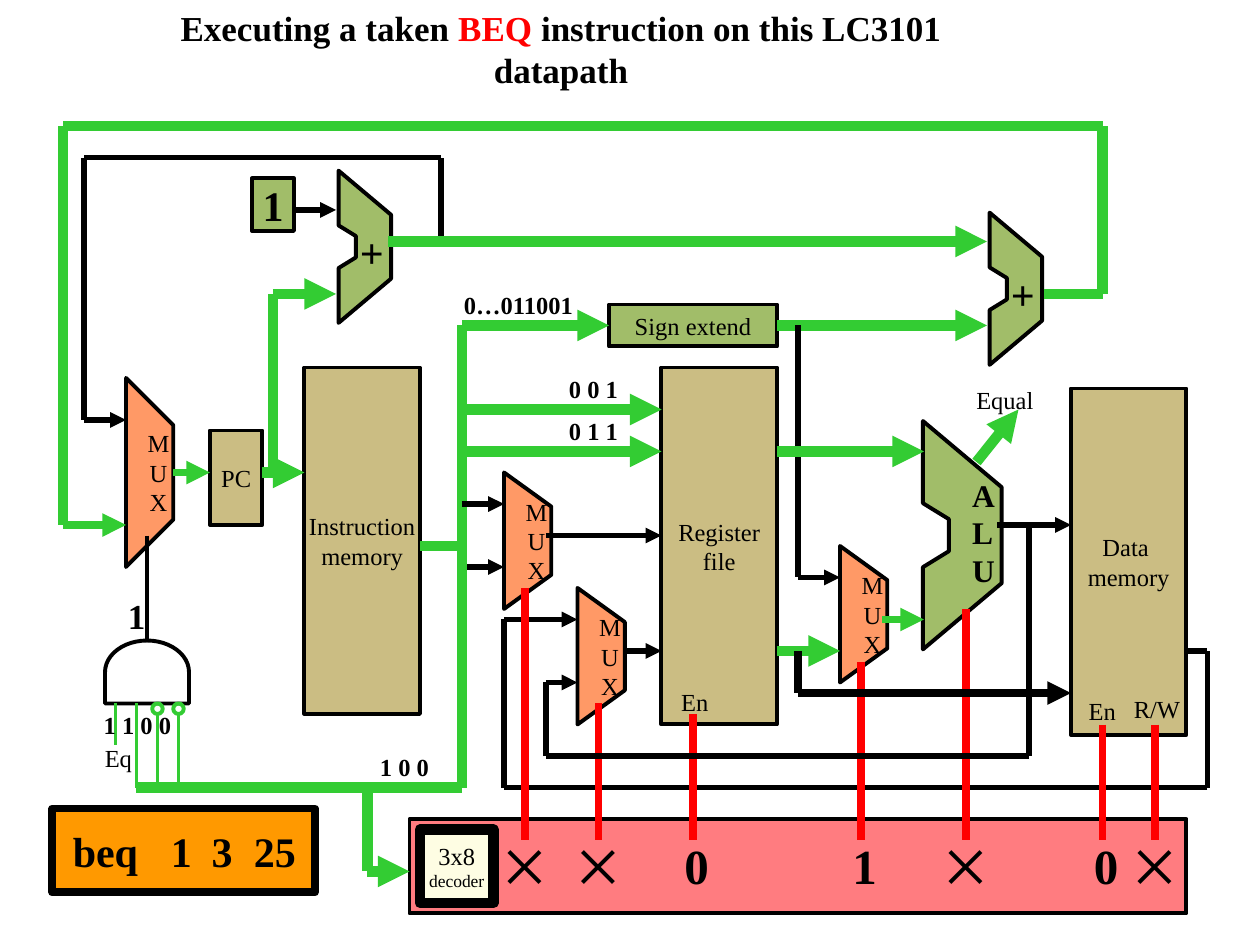
from lxml import etree
from pptx import Presentation
from pptx.dml.color import RGBColor
from pptx.enum.shapes import MSO_CONNECTOR, MSO_SHAPE
from pptx.enum.text import MSO_ANCHOR, MSO_AUTO_SIZE, PP_ALIGN
from pptx.oxml.ns import qn
from pptx.util import Cm, Pt

RECT, OVAL, GATE = MSO_SHAPE.RECTANGLE, MSO_SHAPE.OVAL, MSO_SHAPE.FLOWCHART_DELAY
LEFT, MID = PP_ALIGN.LEFT, PP_ALIGN.CENTER
TOP, HALF = MSO_ANCHOR.TOP, MSO_ANCHOR.MIDDLE
FONT = "Times New Roman"
UNIT = Cm(2.54) / 12
COLORS = {
    "black": "000000", "white": "FFFFFF", "red": "FF0000", "green": "33CC33",
    "tan": "CBBD83", "olive": "A1BD69", "peach": "FF9966", "pink": "FF7C80",
    "cream": "FEFDE3", "orange": "FF9900",
}
INK = {name: RGBColor.from_string(code) for name, code in COLORS.items()}


def write(frame, text, size=14, bold=False, color="black", align=LEFT, anchor=TOP, wrap=False):
    frame.word_wrap = wrap
    frame.vertical_anchor = anchor
    for num, line in enumerate(text.split("\n")):
        para = frame.add_paragraph() if num else frame.paragraphs[-1]
        para.alignment = align
        if line:
            run = para.add_run()
            run.text = line
            run.font.name = FONT
            run.font.size = Pt(size)
            run.font.bold = bold
            run.font.color.rgb = INK[color]


def paint(shape, fill, edge="black", width=2.25):
    shape.shadow.inherit = False
    if fill:
        shape.fill.solid()
        shape.fill.fore_color.rgb = INK[fill]
    else:
        shape.fill.background()
    shape.line.color.rgb = INK[edge]
    shape.line.width = Pt(width)


deck = Presentation()
deck.slide_width, deck.slide_height = Cm(25.4), Cm(19.05)
slide = deck.slides.add_slide(deck.slide_layouts[5])
slide.background.fill.solid()
slide.background.fill.fore_color.rgb = INK["white"]
shapes = slide.shapes

title = shapes.title
title.left, title.top, title.width, title.height = Cm(3.4), Cm(0), Cm(18.69), Cm(1.09)
frame = title.text_frame
frame.auto_size = MSO_AUTO_SIZE.NONE
frame.margin_left, frame.margin_right = Cm(0), Cm(2.87)
for text, color in [("Executing a taken ", "black"), ("BEQ ", "red"),
                    ("instruction on this LC3101 datapath", "black")]:
    write(frame, text, size=20, bold=True, color=color, align=MID, wrap=True)

blocks = [
    ((20, 41, 5, 9), "tan", 2.25, "PC", 14),
    ((29, 35, 11, 33), "tan", 2.25, "Instruction\nmemory", 14),
    ((63, 35, 11, 34), "tan", 2.25, "Register\nfile", 14),
    ((102, 37, 11, 33), "tan", 2.25, "Data \nmemory", 14),
    ((39, 78, 74, 9), "pink", 2.25, "", 14),
    ((58, 29, 16, 4), "olive", 2.25, "Sign extend", 14),
    ((24, 17, 4, 5), "olive", 2.25, "1", 24),
    ((40, 79, 7, 7), "cream", 6, "3x8\n", 14),
    ((5, 77, 25, 8), "orange", 4.5, "", 24),
]
for box, fill, width, text, size in blocks:
    block = shapes.add_shape(RECT, *[round(v * UNIT) for v in box])
    paint(block, fill, width=width)
    write(block.text_frame, text, size=size, bold=size == 24, align=MID, anchor=HALF)
    if fill == "cream":
        write(block.text_frame, "decoder", size=10, align=MID, anchor=HALF)

frame = block.text_frame
frame.margin_left = Cm(0.41)
write(frame, "beq\t1\t3\t25", size=24, bold=True, anchor=HALF, wrap=True)
tabs = etree.SubElement(frame.paragraphs[0]._p.get_or_add_pPr(), qn("a:tabLst"))
for stop in (1.98, 2.8, 3.65):
    etree.SubElement(tabs, qn("a:tab"), pos=str(Cm(stop)), algn="l")

mux = [(0, 0), (1, 0.25), (1, 0.75), (0, 1)]
adder = [(0, 0), (0, 0.36), (0.33, 0.43), (0.33, 0.57), (0, 0.64), (0, 1), (1, 0.71), (1, 0.29)]
units = [
    (mux, 12, 36, 4.5, 18), (mux, 48, 45, 4.5, 13),
    (mux, 55, 56, 4.5, 13), (mux, 80, 52, 4.5, 13),
    (adder, 32.25, 16.25, 5, 14.5), (adder, 94.25, 20.25, 5, 14.5),
    (adder, 87.9, 40.1, 7.5, 21.75),
]
for form, x, y, w, h in units:
    dots = [(round((x + a * w) * UNIT), round((y + b * h) * UNIT)) for a, b in form]
    pen = shapes.build_freeform(*dots[0])
    pen.add_line_segments(dots[1:])
    unit = pen.convert_to_shape()
    paint(unit, "peach" if form is mux else "olive")
    if form is mux:
        frame = unit.text_frame
        frame.margin_left, frame.margin_right = Cm(0.36), Cm(0)
        write(frame, "M\nU\nX", align=MID, anchor=HALF)

gate = shapes.add_shape(GATE, *[round(v * UNIT) for v in (11, 60, 6, 8)])
gate.rotation = 270
paint(gate, None)

wires = [
    ("green", 6, True, [
        [(74, 31), (94, 31)], [(44, 31), (58, 31)], [(25, 45), (29, 45)],
        [(74, 62), (80, 62)], [(26, 45), (26, 28), (32, 28)]]),
    ("green", 6, False, [[(99.4, 28), (105, 28), (105, 12), (6, 12), (6, 50)]]),
    ("green", 4.5, True, [
        [(6, 50), (12, 50)], [(16.5, 45), (20, 45)], [(84, 59), (88, 59)]]),
    ("black", 3, False, [[(113, 62), (115, 62), (115, 75), (48, 75)]]),
    ("black", 3, True, [
        [(48, 75), (48, 59), (55, 59)], [(59.5, 62), (63, 62)], [(44, 54), (48, 54)],
        [(28, 20), (32, 20)], [(76, 31), (76, 55), (80, 55)], [(95, 50), (102, 50)]]),
    ("red", 4.5, False, [
        [(x, y), (x, 80)] for x, y in
        [(50, 56), (57, 67), (66, 68), (82, 63), (92, 58), (105, 69), (110, 69)]]),
    ("black", 4.5, True, [[(76, 62), (76, 66), (102, 66)]]),
    ("green", 6, False, [[(44, 31), (44, 75), (13, 75)], [(40, 52), (44, 52)]]),
    ("green", 6, True, [[(35, 75), (35, 83), (39, 83)]]),
    ("black", 3, True, [
        [(52, 51), (63, 51)], [(42, 23), (42, 15), (8, 15), (8, 40), (12, 40)],
        [(98, 50), (98, 72), (52, 72), (52, 65), (55, 65)], [(44, 48), (48, 48)]]),
    ("green", 6, True, [
        [(37, 23), (94, 23)], [(44, 39), (63, 39)], [(44, 43), (63, 43)],
        [(74, 43), (88, 43)], [(93, 44), (97, 39)]]),
    ("black", 2.25, False, [[(14, 51), (14, 61)]]),
    ("green", 2.25, False, [
        [(17, 75), (17, 68)], [(15, 75), (15, 68)], [(13, 75), (13, 67)], [(11, 67), (11, 71)]]),
]
for color, width, arrow, routes in wires:
    for route in routes:
        for start, end in zip(route, route[1:]):
            ends = [round(v * UNIT) for v in start + end]
            wire = shapes.add_connector(MSO_CONNECTOR.STRAIGHT, *ends)
            wire.line.color.rgb = INK[color]
            wire.line.width = Pt(width)
            props = wire._element.spPr
            if arrow and end == route[-1]:
                etree.SubElement(props.find(qn("a:ln")), qn("a:tailEnd"), type="triangle")
            etree.SubElement(props, qn("a:effectLst"))

for x in (14.5, 16.5):
    ring = shapes.add_shape(OVAL, *[round(v * UNIT) for v in (x, 67, 1, 1)])
    paint(ring, None, "green")

labels = [
    ("+", 33.1, 21, 4.7, 6, 24, True), ("+", 95.1, 25, 4.7, 6, 24, True),
    ("A\nL\nU", 91.4, 44.7, 4.6, 12, 18, True),
    ("0 0 1", 53, 35, 7.1, 4, 14, True), ("0 1 1", 53, 39, 7.1, 4, 14, True),
    ("1 0 0", 35, 71, 7.1, 4, 14, True), ("0…011001", 43, 27, 13, 4, 14, True),
    ("1 1 0 0", 8.7, 67, 8.9, 4, 14, True), ("1", 11, 56, 4.1, 5.2, 20, True),
    ("R/W", 106.8, 65.5, 7, 4, 14, False), ("En", 102.5, 65.7, 5.1, 4, 14, False),
    ("En", 63.7, 64.8, 5.1, 4, 14, False), ("Equal", 91.8, 36.1, 8.6, 4, 14, False),
    ("Eq", 8.8, 70.2, 5.1, 4, 14, False),
]
labels += [(sign, x, 79, 7.1 if sign == "✕" else 4.8, 6.8, 28, sign != "✕") for sign, x in
           [("✕", 47), ("✕", 54), ("0", 64), ("1", 80), ("✕", 89), ("0", 103), ("✕", 107)]]
for text, x, y, w, h, size, bold in labels:
    label = shapes.add_textbox(*[round(v * UNIT) for v in (x, y, w, h)])
    write(label.text_frame, text, size=size, bold=bold)
    label.text_frame.auto_size = MSO_AUTO_SIZE.SHAPE_TO_FIT_TEXT

deck.save("out.pptx")
